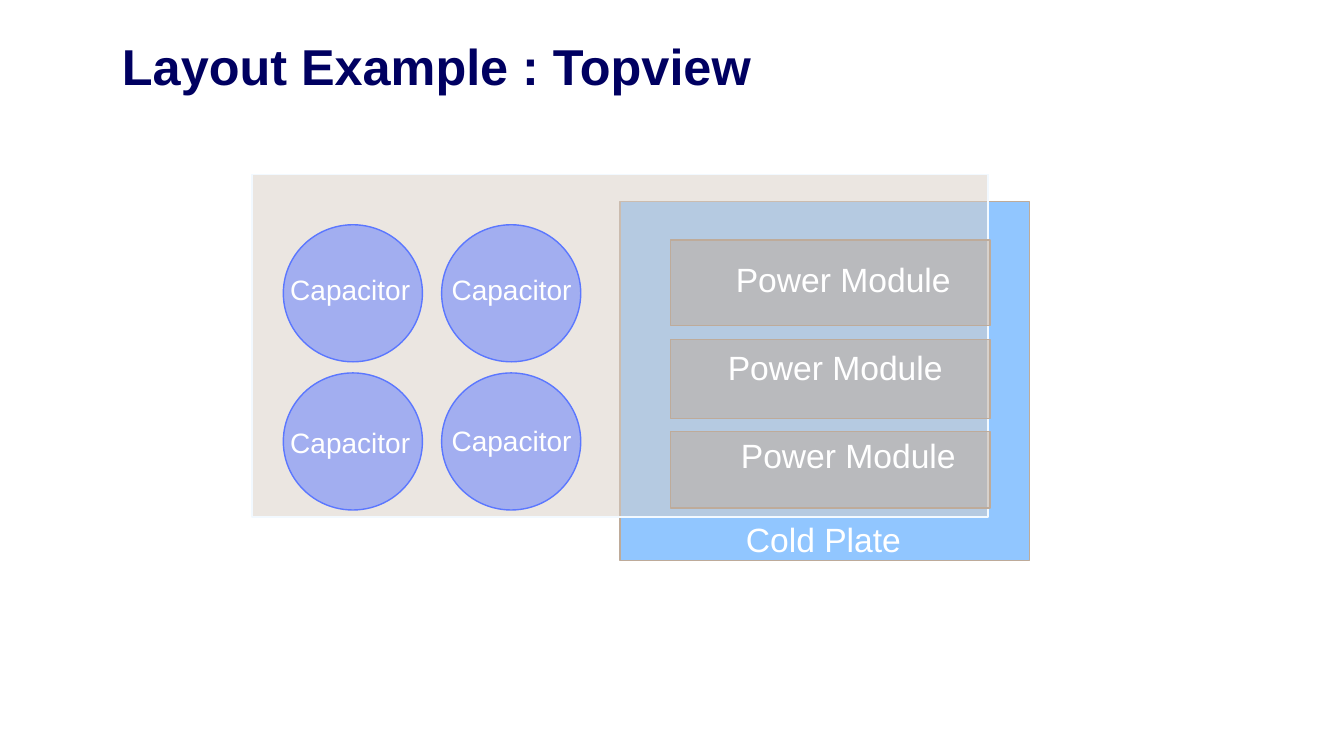
from lxml import etree
from pptx import Presentation
from pptx.dml.color import RGBColor
from pptx.enum.shapes import MSO_SHAPE
from pptx.enum.text import MSO_ANCHOR, MSO_AUTO_SIZE, PP_ALIGN
from pptx.oxml.ns import qn
from pptx.util import Inches, Pt

RECT, OVAL = MSO_SHAPE.RECTANGLE, MSO_SHAPE.OVAL
TOP, LEFT = MSO_ANCHOR.TOP, PP_ALIGN.LEFT
NO_FIT, GROW = MSO_AUTO_SIZE.NONE, MSO_AUTO_SIZE.SHAPE_TO_FIT_TEXT
FONT = "Arial"
COLORS = {
    "title": "000061",
    "label": "FFFFFF",
    "plate": "248FFF",
    "board": "D9CEC4",
    "board_line": "F2F9FF",
    "module": "BEAB9A",
    "capacitor": "5B77FF",
}


def rgb(name):
    return RGBColor.from_string(COLORS[name])


def style_run(r, size, color, bold=False):
    r.font.name = FONT
    r.font.size = Pt(size)
    r.font.bold = bold
    r.font.color.rgb = rgb(color)


def add_part(slide, kind, box, fill, line):
    sp = slide.shapes.add_shape(kind, *map(Inches, box))
    sp.shadow.inherit = False
    sp.fill.solid()
    sp.fill.fore_color.rgb = rgb(fill)
    clr = sp.fill._xPr.find(qn("a:solidFill"))[0]
    etree.SubElement(clr, qn("a:alpha")).set("val", "50000")
    sp.line.color.rgb = rgb(line)
    sp.line.width = Pt(1)


def add_label(slide, text, box, size):
    tf = slide.shapes.add_textbox(*map(Inches, box)).text_frame
    tf.word_wrap = True
    tf.auto_size = GROW
    tf.text = text
    style_run(tf.paragraphs[0].runs[0], size, "label")


def add_title(slide, text, box):
    sp = slide.shapes.title
    sp.left, sp.top, sp.width, sp.height = map(Inches, box)
    tf = sp.text_frame
    tf.text = text
    tf.word_wrap = True
    tf.auto_size = NO_FIT
    tf.vertical_anchor = TOP
    tf.margin_left = tf.margin_right = Inches(0.1)
    tf.margin_top, tf.margin_bottom = Inches(0.12), Inches(0.05)
    p = tf.paragraphs[0]
    p.alignment = LEFT
    p.line_spacing = 0.9
    style_run(p.runs[0], 36, "title", True)


def add_modules(slide, box):
    x, y, w, _ = box
    rows = [(0, 0.85, 0.55, 0.14), (0.99, 0.78, 0.47, 1.01), (1.9, 0.76, 0.6, 1.89)]
    for top, h, label_x, label_y in rows:
        add_part(slide, RECT, (x, y + top, w, h), "module", "module")
        add_label(slide, "Power Module", (x + label_x, y + label_y, 2.36, 0.5), 24)


def add_capacitors(slide, box):
    x, y, w, h = box
    dia_w, dia_h = 1.38, 1.36
    label_x = (-0.03, 0)
    label_y = ((0.42, 0.42), (0.47, 0.45))
    for row in range(2):
        for col in range(2):
            cx, cy = x + col * (w - dia_w), y + row * (h - dia_h)
            add_part(slide, OVAL, (cx, cy, dia_w, dia_h), "capacitor", "capacitor")
            label_box = (cx + label_x[col], cy + label_y[row][col], 1.79, 0.44)
            add_label(slide, "Capacitor", label_box, 20)


def add_topview(slide, box):
    x, y, w, h = box
    add_part(slide, RECT, (x + 3.65, y + 0.27, 4.06, 3.56), "plate", "module")
    add_part(slide, RECT, (x, y, 7.3, 3.4), "board", "board_line")
    add_modules(slide, (x + 4.15, y + 0.65, 3.17, 2.66))
    add_capacitors(slide, (x + 0.31, y + 0.5, 2.95, 2.83))
    add_label(slide, "Cold Plate", (x + 4.8, y + 3.37, 2.26, 0.5), 24)


def main():
    prs = Presentation()
    prs.slide_width, prs.slide_height = Inches(13.33), Inches(7.5)
    slide = prs.slides.add_slide(prs.slide_layouts[5])
    add_title(slide, "Layout Example : Topview", (1.11, 0.3, 12.02, 0.62))
    add_topview(slide, (2.5, 1.73, 7.71, 3.83))
    prs.save("out.pptx")


if __name__ == "__main__":
    main()
